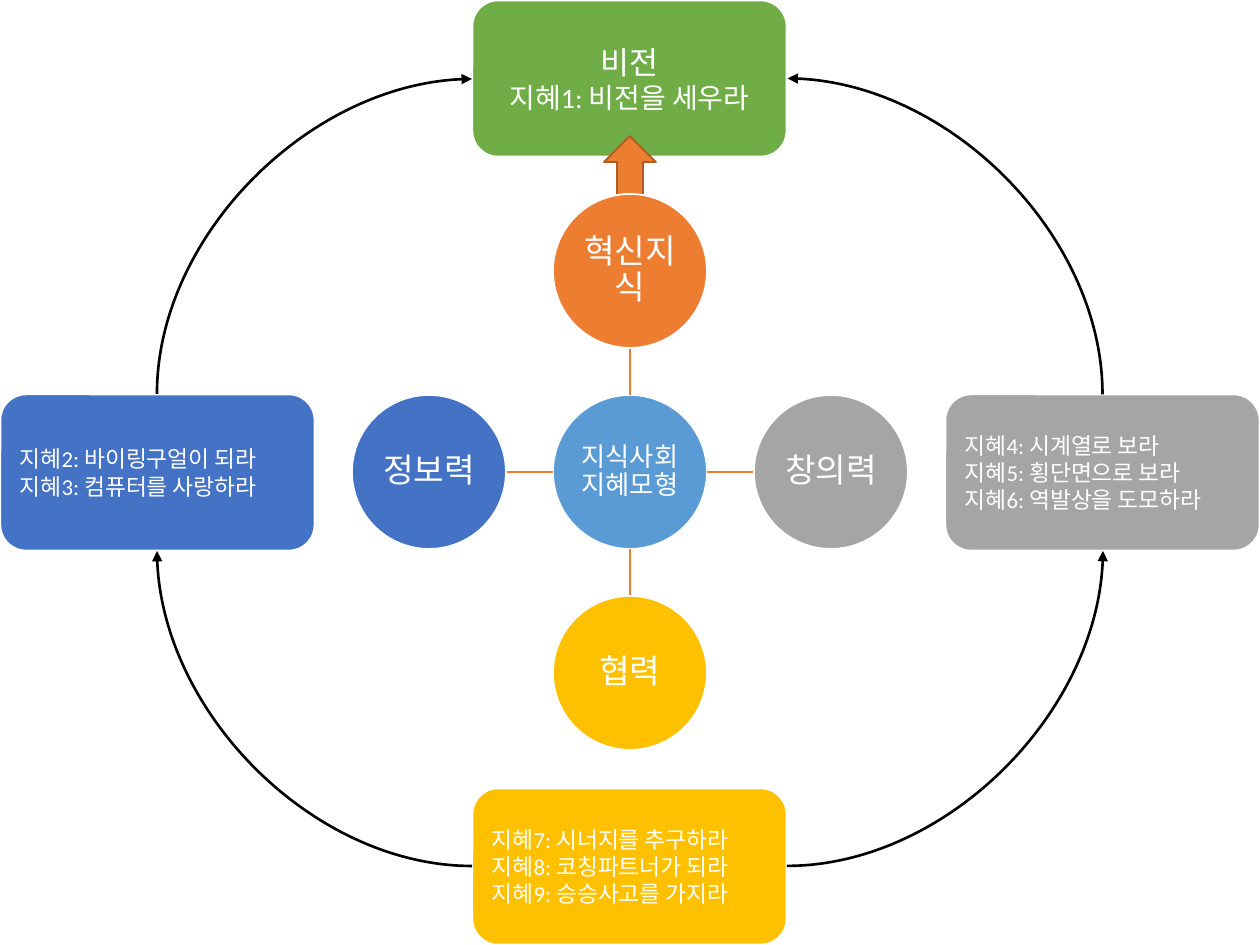
import dataclasses

import pptx
import pptx.dml.color
import pptx.enum.shapes
import pptx.enum.text
import pptx.oxml
import pptx.oxml.ns
import pptx.util

EMU_PER_PIXEL = 914400 // 126
SLIDE_WIDTH, SLIDE_HEIGHT = 1260, 945
CENTER_X, CENTER_Y = 630, 472
CARD_WIDTH, CARD_HEIGHT = 315, 157
CIRCLE_SIZE, CIRCLE_STEP = 154, 201
FONT = "Calibri"
WHITE, ORANGE, GRAY, GOLD, BLUE = "FFFFFF", "ED7D31", "A5A5A5", "FFC000", "4472C4"
SHAPES = pptx.enum.shapes.MSO_SHAPE
CONNECTORS = pptx.enum.shapes.MSO_CONNECTOR
ALIGN = pptx.enum.text.PP_ALIGN


@dataclasses.dataclass
class Card:
    left: int
    top: int
    fill: str
    text: str
    sizes: tuple[int, ...] = (13,)
    align: ALIGN = ALIGN.LEFT


@dataclasses.dataclass
class Circle:
    step_x: int
    step_y: int
    fill: str
    text: str
    size: int = 19


@dataclasses.dataclass
class Curve:
    begin: tuple[int, int]
    end: tuple[int, int]
    rotation: int


def px(value: float) -> int:
    return pptx.util.Emu(round(value * EMU_PER_PIXEL))


def color(value: str) -> pptx.dml.color.RGBColor:
    return pptx.dml.color.RGBColor.from_string(value)


def add_shape(slide, kind, left, top, width, height, fill: str, line: str, line_width: float):
    shape = slide.shapes.add_shape(kind, px(left), px(top), px(width), px(height))
    shape.shadow.inherit = False
    shape.fill.solid()
    shape.fill.fore_color.rgb = color(fill)
    shape.line.color.rgb = color(line)
    shape.line.width = pptx.util.Pt(line_width)
    return shape


def set_text(shape, text: str, sizes: tuple[int, ...], align, line_spacing: float = 1.0) -> None:
    frame = shape.text_frame
    frame.word_wrap = True
    frame.vertical_anchor = pptx.enum.text.MSO_ANCHOR.MIDDLE
    frame.text = text
    for index, paragraph in enumerate(frame.paragraphs):
        paragraph.alignment = align
        paragraph.line_spacing = line_spacing
        for run in paragraph.runs:
            run.font.name = FONT
            run.font.size = pptx.util.Pt(sizes[min(index, len(sizes) - 1)])
            run.font.color.rgb = color(WHITE)


def add_line(slide, kind, begin, end, line: str, width: float):
    connector = slide.shapes.add_connector(kind, *map(px, begin), *map(px, end))
    connector.line.color.rgb = color(line)
    connector.line.width = pptx.util.Pt(width)
    connector._element.spPr.append(pptx.oxml.parse_xml(
        f'<a:effectLst {pptx.oxml.ns.nsdecls("a")}/>'))
    return connector


def add_card(slide, card: Card) -> None:
    shape = add_shape(slide, SHAPES.ROUNDED_RECTANGLE, card.left, card.top,
                      CARD_WIDTH, CARD_HEIGHT, card.fill, WHITE, 1.5)
    set_text(shape, card.text, card.sizes, card.align)


def add_circle(slide, circle: Circle) -> None:
    x = CENTER_X + circle.step_x * CIRCLE_STEP
    y = CENTER_Y + circle.step_y * CIRCLE_STEP
    radius = CIRCLE_SIZE / 2
    if circle.step_x or circle.step_y:
        near, far = radius, CIRCLE_STEP - radius
        begin, end = ((CENTER_X + circle.step_x * distance, CENTER_Y + circle.step_y * distance)
                      for distance in (near, far))
        add_line(slide, CONNECTORS.STRAIGHT, begin, end, ORANGE, 1)
    shape = add_shape(slide, SHAPES.OVAL, x - radius, y - radius,
                      CIRCLE_SIZE, CIRCLE_SIZE, circle.fill, WHITE, 1)
    frame = shape.text_frame
    frame.margin_left = frame.margin_right = px(1)
    frame.margin_top = frame.margin_bottom = px(1)
    set_text(shape, circle.text, (circle.size,), ALIGN.CENTER, 0.9)


def add_curve(slide, curve: Curve) -> None:
    connector = add_line(slide, CONNECTORS.CURVE, curve.begin, curve.end, "000000", 1.5)
    properties = connector._element.spPr
    properties.find(pptx.oxml.ns.qn("a:prstGeom")).set("prst", "curvedConnector2")
    properties.find(pptx.oxml.ns.qn("a:xfrm")).set("rot", str(curve.rotation * 60000))
    properties.find(pptx.oxml.ns.qn("a:ln")).append(pptx.oxml.parse_xml(
        f'<a:tailEnd {pptx.oxml.ns.nsdecls("a")} type="triangle"/>'))


# Card grid and the frame of the outer ring
CARD_LEFT = (SLIDE_WIDTH - CARD_WIDTH) // 2
CARD_RIGHT = CARD_LEFT + CARD_WIDTH
SIDE_TOP = (SLIDE_HEIGHT - CARD_HEIGHT) // 2
SIDE_BOTTOM = SIDE_TOP + CARD_HEIGHT
RING_LEFT, RING_RIGHT = CARD_WIDTH // 2, SLIDE_WIDTH - CARD_WIDTH // 2
RING_TOP, RING_BOTTOM = CARD_HEIGHT // 2 + 1, SLIDE_HEIGHT - CARD_HEIGHT // 2 - 1

VISION = Card(CARD_LEFT, 0, "70AD47", "비전\n지혜1: 비전을 세우라", (18, 16), ALIGN.CENTER)
WISDOM_CARDS = [
    Card(CARD_LEFT, SLIDE_HEIGHT - CARD_HEIGHT, GOLD,
         "지혜7: 시너지를 추구하라\v지혜8: 코칭파트너가 되라\v지혜9: 승승사고를 가지라"),
    Card(0, SIDE_TOP, BLUE, "지혜2: 바이링구얼이 되라\v지혜3: 컴퓨터를 사랑하라"),
    Card(SLIDE_WIDTH - CARD_WIDTH, SIDE_TOP, GRAY,
         "지혜4: 시계열로 보라\n지혜5: 횡단면으로 보라\n지혜6: 역발상을 도모하라"),
]
CIRCLES = [
    Circle(0, 0, "5B9BD5", "지식사회지혜모형", 15),
    Circle(0, -1, ORANGE, "혁신지식"),
    Circle(1, 0, GRAY, "창의력"),
    Circle(0, 1, GOLD, "협력"),
    Circle(-1, 0, BLUE, "정보력"),
]
# Curve ends are given before the rotation is applied
CURVES = [
    Curve((CARD_RIGHT, RING_BOTTOM), (RING_RIGHT, SIDE_BOTTOM), 0),
    Curve((RING_LEFT, SIDE_BOTTOM), (CARD_LEFT, RING_BOTTOM), 180),
    Curve((CARD_LEFT, SIDE_TOP), (RING_LEFT, RING_TOP), 90),
    Curve((CARD_RIGHT, SIDE_TOP), (RING_RIGHT, RING_TOP), 270),
]

presentation = pptx.Presentation()
presentation.slide_width = pptx.util.Inches(10)
presentation.slide_height = pptx.util.Inches(7.5)
slide = presentation.slides.add_slide(presentation.slide_layouts[6])

# Vision and the arrow leading to it
add_card(slide, VISION)
add_shape(slide, SHAPES.UP_ARROW, 604, 136, 52, 79, ORANGE, "AF5C24", 1)

# Radial model
for circle in CIRCLES:
    add_circle(slide, circle)

# Wisdom cards and the outer ring
for card in WISDOM_CARDS:
    add_card(slide, card)
for curve in CURVES:
    add_curve(slide, curve)

presentation.save("out.pptx")
